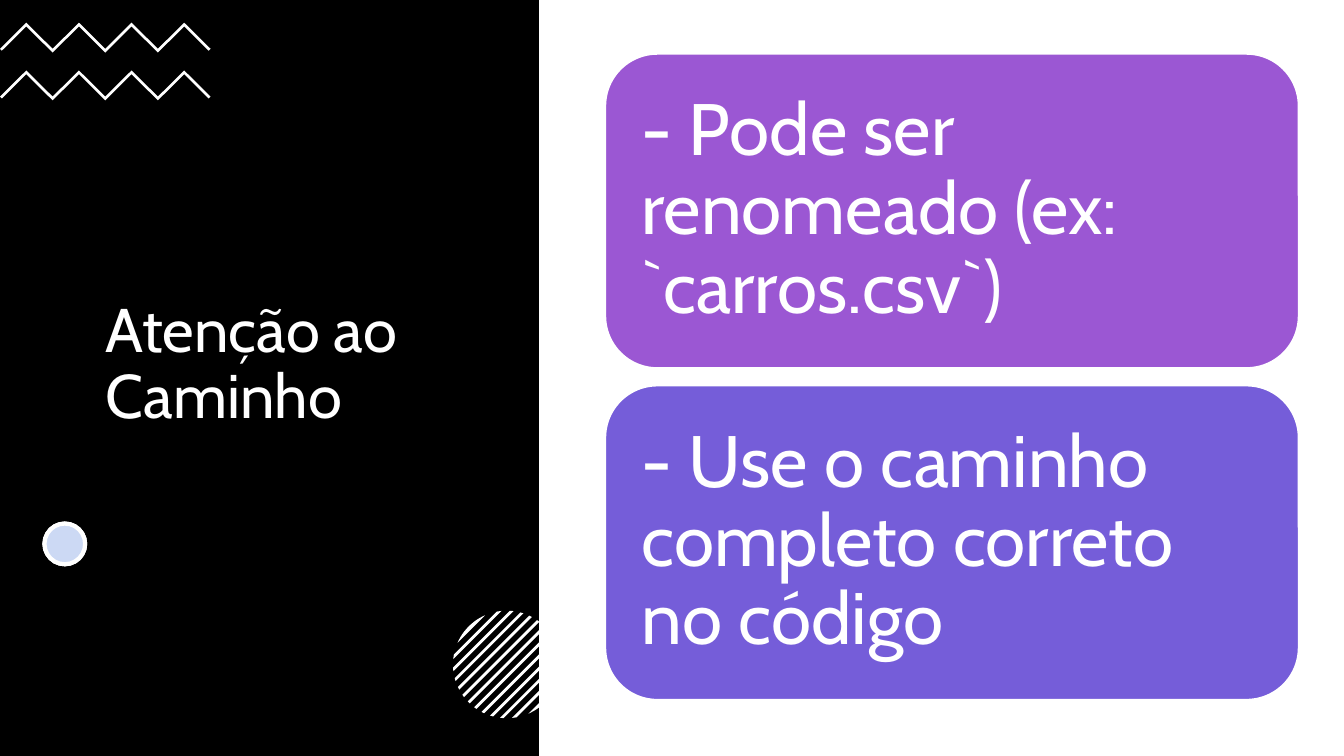
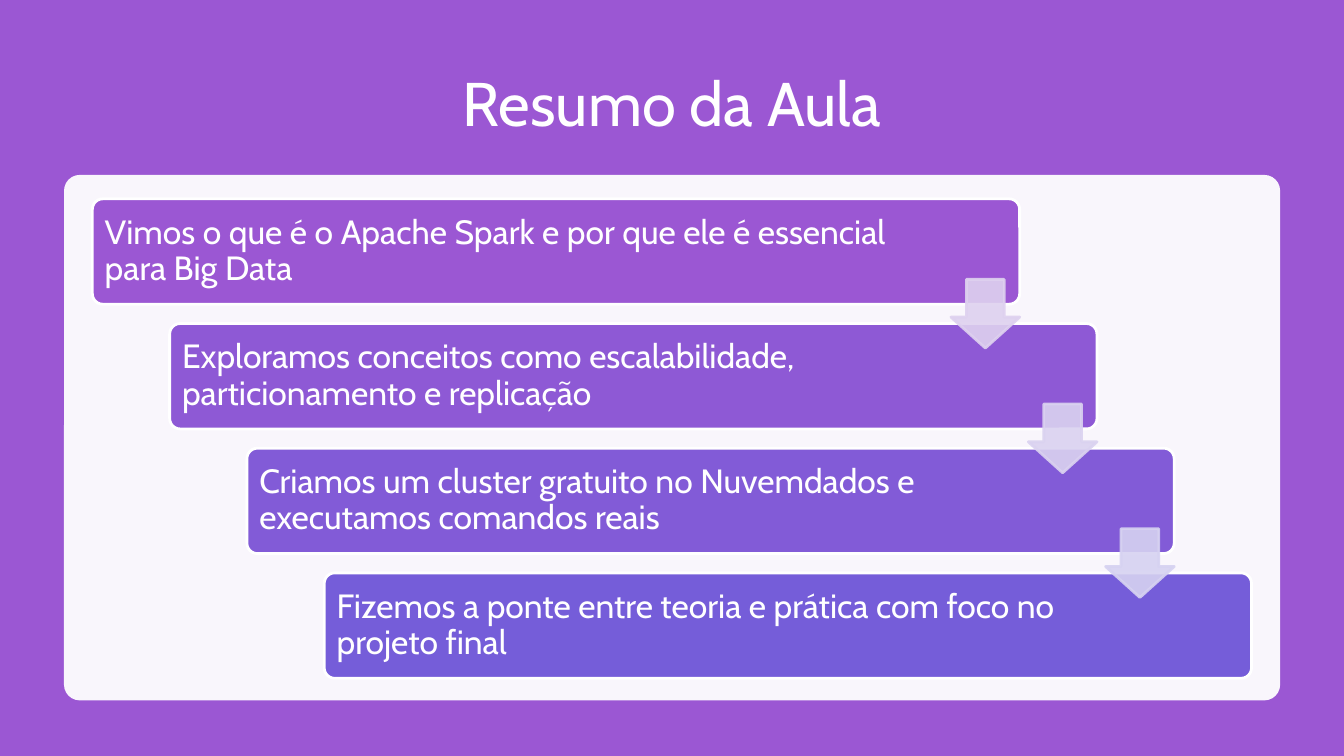
from dataclasses import dataclass
from math import acos, cos, pi, sin
from typing import Any

from lxml import etree
from pptx import Presentation
from pptx.dml.color import RGBColor
from pptx.enum.shapes import MSO_SHAPE
from pptx.enum.text import MSO_ANCHOR, MSO_AUTO_SIZE, PP_ALIGN
from pptx.oxml.ns import qn
from pptx.util import Pt

RECT = MSO_SHAPE.RECTANGLE
ROUND = MSO_SHAPE.ROUNDED_RECTANGLE
OVAL = MSO_SHAPE.OVAL
ARROW = MSO_SHAPE.DOWN_ARROW
MIDDLE = MSO_ANCHOR.MIDDLE
NO_FIT = MSO_AUTO_SIZE.NONE
LEFT = PP_ALIGN.LEFT
CENTER = PP_ALIGN.CENTER

WIDE, HIGH = 720, 405
FONT = "Cabin"
WHITE, BLACK, BLUE = "FFFFFF", "000000", "5982DB"
PURPLE, INDIGO = "9B57D3", "755DD9"
FRAME = {"word_wrap": True, "auto_size": NO_FIT, "vertical_anchor": MIDDLE}


@dataclass
class Box:
    x: float
    y: float
    w: float
    h: float


@dataclass
class Look:
    fill: str
    line: str = ""
    width: float = 1.5
    alpha: int = 100
    adjust: tuple[float, ...] = ()


@dataclass
class Label:
    text: str
    size: float
    inset: float
    right: float
    align: Any = LEFT


@dataclass
class Card:
    text: str
    fill: str


@dataclass
class Step:
    text: str
    fill: str
    right: float
    arrow: str = ""


CARDS = [
    Card("- Pode ser renomeado (ex: `carros.csv`)", PURPLE),
    Card("- Use o caminho completo correto no código", INDIGO),
]
STEPS = [
    Step("Vimos o que é o Apache Spark e por que ele é essencial para Big Data",
         PURPLE, 67.5, "DED1EF"),
    Step("Exploramos conceitos como escalabilidade, particionamento e replicação",
         "8E59D5", 83.5, "DAD2F0"),
    Step("Criamos um cluster gratuito no Nuvemdados e executamos comandos reais",
         "825BD7", 83.5, "D6D2F1"),
    Step("Fizemos a ponte entre teoria e prática com foco no projeto final",
         INDIGO, 83.5),
]


def assign(item: Any, values: dict[str, Any]) -> None:
    for name, value in values.items():
        setattr(item, name, value)


def paint(fill: Any, code: str) -> None:
    fill.solid()
    fill.fore_color.rgb = RGBColor.from_string(code)


def style(shape: Any, look: Look) -> None:
    shape.shadow.inherit = False
    paint(shape.fill, look.fill)
    if look.line:
        paint(shape.line.fill, look.line)
        shape.line.width = Pt(look.width)
    else:
        shape.line.fill.background()
    if look.alpha < 100:
        props = shape.element.find(qn("p:spPr"))
        for tint in props.iter(qn("a:srgbClr")):
            if tint.get("val") == look.fill:
                etree.SubElement(tint, qn("a:alpha")).set("val", str(look.alpha * 1000))


def write(shape: Any, label: Label) -> None:
    frame = shape.text_frame
    frame.text = label.text
    inset = Pt(label.inset)
    assign(frame, FRAME | {"margin_left": inset, "margin_top": inset,
                           "margin_bottom": inset, "margin_right": Pt(label.right)})
    para = frame.paragraphs[0]
    assign(para, {"alignment": label.align, "line_spacing": 0.9})
    assign(para.font, {"name": FONT, "size": Pt(label.size), "bold": False})
    paint(para.font.fill, WHITE)


def place(box: Box) -> dict[str, Any]:
    return {"left": Pt(box.x), "top": Pt(box.y),
            "width": Pt(box.w), "height": Pt(box.h)}


def draw(slide: Any, kind: Any, box: Box, look: Look) -> Any:
    shape = slide.shapes.add_shape(kind, *place(box).values())
    for i, value in enumerate(look.adjust):
        shape.adjustments[i] = value
    style(shape, look)
    return shape


def outline(slide: Any, points: list[tuple[float, float]]) -> None:
    spots = [(Pt(x), Pt(y)) for x, y in points]
    build = slide.shapes.build_freeform(*spots[0], scale=1.0)
    build.add_line_segments(spots[1:], close=True)
    style(build.convert_to_shape(), Look(WHITE))


def start(deck: Any, text: str, box: Box, align: Any, band: Box, fill: str) -> Any:
    slide = deck.slides.add_slide(deck.slide_layouts[5])
    paint(slide.background.fill, WHITE)
    title = slide.shapes.title
    assign(title, place(box))
    write(title, Label(text, 33, 7.2, 7.2, align))
    back = draw(slide, RECT, band, Look(fill))
    title.element.addprevious(back.element)
    return slide


def zigzag(slide: Any, top: float) -> None:
    pitch, drop, thick, count = 14.1, 14, 2, 9
    upper = [(i * pitch, top + drop * (1 - i % 2)) for i in range(count)]
    lower = [(x, y + thick) for x, y in upper[-2:0:-1]]
    foot = top + drop + 1
    outline(slide, upper + [(upper[-1][0] - 1, foot)] + lower + [(1, foot)])


def stripes(slide: Any, mid_x: float, mid_y: float, radius: float) -> None:
    pitch, half, last, parts = 4.6, 0.75, 6, 6
    for i in range(-last, last + 1):
        near = -radius if i == -last else i * pitch - half
        far = radius if i == last else i * pitch + half
        begin, end = acos(near / radius), acos(far / radius)
        turns = [begin + (end - begin) * n / parts for n in range(parts + 1)]
        angles = [pi / 4 + t for t in turns] + [pi / 4 - t for t in reversed(turns)]
        outline(slide, [(mid_x + radius * cos(a), mid_y + radius * sin(a))
                        for a in angles])


def caution(deck: Any) -> None:
    slide = start(deck, "Atenção ao Caminho", Box(49.5, 70.5, 188.5, 250.5), LEFT,
                  Box(0, 0, 288.8, HIGH), BLACK)
    for top in (12.2, 37.8):
        zigzag(slide, top)
    for fill, alpha in ((WHITE, 100), (BLUE, 30)):
        draw(slide, OVAL, Box(23.8, 280.5, 21.8, 21.8), Look(fill, WHITE, 2.25, alpha))
    stripes(slide, 271.5, 356, 28.8)
    for i, card in enumerate(CARDS):
        shape = draw(slide, ROUND, Box(324, 28.6 + i * 177.7, 372, 168.9),
                     Look(card.fill, WHITE))
        write(shape, Label(card.text, 39, 11.5, 11.5))


def recap(deck: Any) -> None:
    slide = start(deck, "Resumo da Aula", Box(49.5, 27.4, 621, 59), CENTER,
                  Box(0, 0, WIDE, HIGH), PURPLE)
    draw(slide, ROUND, Box(34.3, 93.7, 651.5, 281.5),
         Look(WHITE, alpha=95, adjust=(0.03,)))
    boxes = [Box(49.5 + i * 41.4, 106.5 + i * 66.8, 496.8, 56.5)
             for i in range(len(STEPS))]
    for step, box in zip(STEPS, boxes):
        shape = draw(slide, ROUND, box, Look(step.fill, WHITE, adjust=(0.1,)))
        write(shape, Label(step.text, 18, 5, step.right))
    side = 36.8
    for step, box in zip(STEPS[:-1], boxes):
        draw(slide, ARROW, Box(box.x + box.w - side, box.y + 43.2, side, side),
             Look(step.arrow, step.arrow, alpha=90, adjust=(0.55, 0.45)))


def main() -> None:
    deck = Presentation()
    assign(deck, {"slide_width": Pt(WIDE), "slide_height": Pt(HIGH)})
    caution(deck)
    recap(deck)
    deck.save("out.pptx")


if __name__ == "__main__":
    main()
